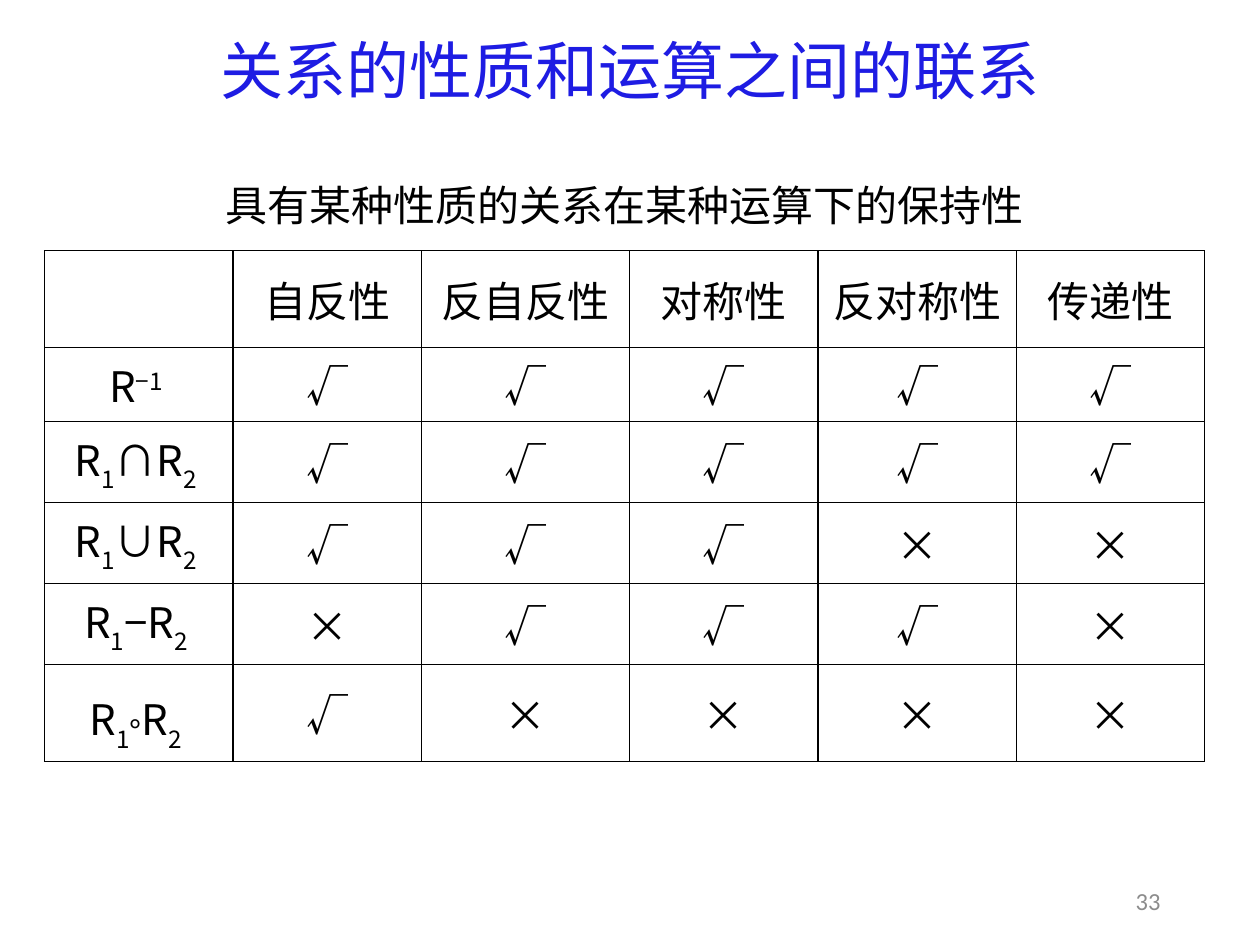
from dataclasses import dataclass

from lxml import etree
from pptx import Presentation
from pptx import util as u
from pptx.dml import color
from pptx.enum import text
from pptx.oxml import ns


@dataclass(frozen=True)
class Theme:
    cjk: str = "Noto Sans CJK SC"
    latin: str = "Calibri"
    blue: str = "1E1CE3"
    black: str = "000000"
    grey: str = "8C8C8C"
    title: int = 36
    operator: int = 32
    body: int = 24
    number: int = 14
    inner_line: float = 1
    outer_line: float = 0.75


THEME = Theme()
LEFT, CENTER, RIGHT = text.PP_ALIGN.LEFT, text.PP_ALIGN.CENTER, text.PP_ALIGN.RIGHT
COLUMN_WIDTHS = [107.7, 107.7, 119, 107.7, 113.3, 107.7]
ROW_HEIGHTS = [55.5, 42, 46.3, 46.3, 46.3, 55.8]
PROPERTIES = ["自反性", "反自反性", "对称性", "反对称性", "传递性"]


def pair(*operator):
    return [("R", 0), ("1", -30), *operator, ("2 ", -30)]


OPERATIONS = [
    ([("R", 0), ("−1 ", 30)], "√√√√√"),
    (pair(("∩R", 0)), "√√√√√"),
    (pair(("∪R", 0)), "√√√××"),
    (pair(("−R", 0)), "×√√√×"),
    (pair(("°", -16, THEME.operator), ("R", 0)), "√××××"),
]


def add_run(paragraph, words, baseline=0, size=THEME.body, ink=THEME.black, font=THEME.cjk):
    run = paragraph.add_run()
    run.text = words
    run.font.size = u.Pt(size)
    run.font.color.rgb = color.RGBColor.from_string(ink)
    run.font.name = font
    properties = run.font._element
    etree.SubElement(properties, ns.qn("a:ea"), typeface=font)
    if baseline:
        properties.set("baseline", str(baseline * 1000))


def place(shape, left, top, width, height):
    shape.left, shape.top = u.Pt(left), u.Pt(top)
    shape.width, shape.height = u.Pt(width), u.Pt(height)


def fill_frame(shape, words, align, **style):
    frame = shape.text_frame
    frame.word_wrap = True
    frame.auto_size = text.MSO_AUTO_SIZE.NONE
    frame.vertical_anchor = text.MSO_ANCHOR.MIDDLE
    paragraph = frame.paragraphs[0]
    paragraph.alignment = align
    add_run(paragraph, words, **style)
    return paragraph


def add_title(slide, words):
    shape = slide.shapes.title
    place(shape, 49.7, 21.6, 620.6, 41)
    paragraph = fill_frame(shape, words, CENTER, size=THEME.title, ink=THEME.blue)
    paragraph.line_spacing = 0.9


def add_label(slide, words, box, align, **style):
    shape = slide.shapes.add_textbox(*(u.Pt(length) for length in box))
    fill_frame(shape, words, align, **style)


def set_borders(cell, outer_sides):
    properties = cell._tc.get_or_add_tcPr()
    for side in "LRTB":
        width = THEME.outer_line if side in outer_sides else THEME.inner_line
        line = etree.SubElement(properties, ns.qn(f"a:ln{side}"), w=str(u.Pt(width)))
        fill = etree.SubElement(line, ns.qn("a:solidFill"))
        etree.SubElement(fill, ns.qn("a:srgbClr"), val=THEME.black)


def fill_cell(cell, runs, outer_sides):
    set_borders(cell, outer_sides)
    cell.fill.background()
    cell.vertical_anchor = text.MSO_ANCHOR.MIDDLE
    paragraph = cell.text_frame.paragraphs[0]
    paragraph.alignment = CENTER
    for run in runs:
        add_run(paragraph, *run)


def add_property_table(slide):
    rows = [[[]] + [[(name,)] for name in PROPERTIES]]
    rows += [[label] + [[(mark,)] for mark in marks] for label, marks in OPERATIONS]
    frame = slide.shapes.add_table(
        len(ROW_HEIGHTS), len(COLUMN_WIDTHS), u.Pt(25.4), u.Pt(143.2),
        u.Pt(sum(COLUMN_WIDTHS)), u.Pt(sum(ROW_HEIGHTS)))
    table = frame.table
    table.first_row = table.horz_banding = False
    for column, width in zip(table.columns, COLUMN_WIDTHS):
        column.width = u.Pt(width)
    for row, height in zip(table.rows, ROW_HEIGHTS):
        row.height = u.Pt(height)
    last_row, last_column = len(rows) - 1, len(COLUMN_WIDTHS) - 1
    for i, row in enumerate(rows):
        for j, runs in enumerate(row):
            edges = {"T": i == 0, "B": i == last_row, "L": j == 0, "R": j == last_column}
            fill_cell(table.cell(i, j), runs, [side for side in edges if edges[side]])


def main():
    presentation = Presentation()
    presentation.slide_width, presentation.slide_height = u.Pt(720), u.Pt(540)
    slide = presentation.slides.add_slide(presentation.slide_layouts[5])
    add_title(slide, "关系的性质和运算之间的联系")
    add_label(slide, "33", (614.9, 500.4, 55.4, 28.8), RIGHT,
              size=THEME.number, ink=THEME.grey, font=THEME.latin)
    add_property_table(slide)
    add_label(slide, "具有某种性质的关系在某种运算下的保持性",
              (87.8, 97.2, 538.6, 39.6), CENTER)
    presentation.save("out.pptx")


if __name__ == "__main__":
    main()
